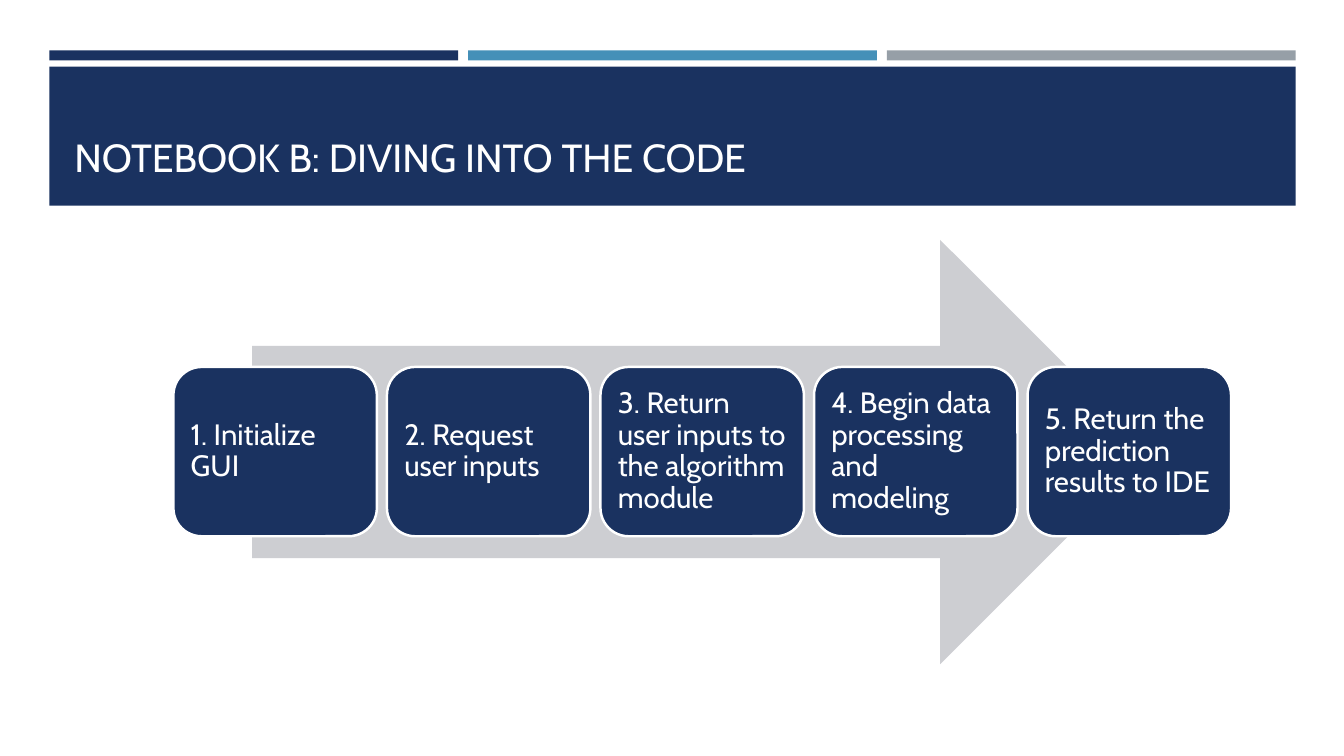
from dataclasses import dataclass

from pptx import Presentation
from pptx.dml.color import RGBColor
from pptx.enum.shapes import MSO_SHAPE
from pptx.enum.text import MSO_ANCHOR, PP_ALIGN
from pptx.shapes.autoshape import Shape
from pptx.slide import Slide
from pptx.util import Inches, Pt


@dataclass(frozen=True)
class Theme:
    navy: str = "1A3260"
    blue: str = "4590B8"
    gray: str = "969FA7"
    arrow: str = "CDCED2"
    white: str = "FFFFFF"
    font: str = "Cabin"
    title_size: float = 28
    step_size: float = 21
    outline: float = 1.75


@dataclass(frozen=True)
class Box:
    left: float
    top: float
    width: float
    height: float


@dataclass(frozen=True)
class GridRow:
    """A band of the slide split into equal columns with equal gaps."""
    band: Box
    columns: int
    gap: float

    def cell(self, column: int) -> Box:
        width = (self.band.width - self.gap * (self.columns - 1)) / self.columns
        left = self.band.left + column * (width + self.gap)
        return Box(left, self.band.top, width, self.band.height)


THEME = Theme()
ACCENT_ROW = GridRow(Box(0.49, 0.5, 12.36, 0.1), columns=3, gap=0.1)
STEP_ROW = GridRow(Box(1.72, 3.64, 10.49, 1.68), columns=5, gap=0.1)
BANNER = Box(0.49, 0.66, 12.36, 1.38)
TITLE = Box(0.64, 0.8, 12.06, 1.08)
FLOW_ARROW = Box(2.5, 2.38, 8.93, 4.21)

ACCENTS = (THEME.navy, THEME.blue, THEME.gray)
STEPS = (
    "1. Initialize GUI",
    "2. Request user inputs",
    "3. Return user inputs to the algorithm module",
    "4. Begin data processing and modeling",
    "5. Return the prediction results to IDE",
)


def emu(box: Box) -> tuple[int, int, int, int]:
    return (Inches(box.left), Inches(box.top),
            Inches(box.width), Inches(box.height))


def add_filled(slide: Slide, kind: MSO_SHAPE, box: Box, color: str) -> Shape:
    shape = slide.shapes.add_shape(kind, *emu(box))
    shape.shadow.inherit = False
    shape.fill.solid()
    shape.fill.fore_color.rgb = RGBColor.from_string(color)
    shape.line.fill.background()
    return shape


def write(shape: Shape, text: str, size: float, anchor: MSO_ANCHOR,
          inset: float, line_spacing: float = 1.0) -> None:
    frame = shape.text_frame
    frame.word_wrap = True
    frame.vertical_anchor = anchor
    frame.margin_left = frame.margin_right = Inches(inset)
    frame.margin_top = frame.margin_bottom = Inches(min(inset, 0.09))
    paragraph = frame.paragraphs[0]
    paragraph.alignment = PP_ALIGN.LEFT
    paragraph.line_spacing = line_spacing
    run = paragraph.add_run()
    run.text = text
    run.font.name = THEME.font
    run.font.size = Pt(size)
    run.font.color.rgb = RGBColor.from_string(THEME.white)


def add_header(slide: Slide) -> None:
    for column, color in enumerate(ACCENTS):
        add_filled(slide, MSO_SHAPE.RECTANGLE, ACCENT_ROW.cell(column), color)
    add_filled(slide, MSO_SHAPE.RECTANGLE, BANNER, THEME.navy)
    title = slide.shapes.add_textbox(*emu(TITLE))
    write(title, "NOTEBOOK B: DIVING INTO THE CODE", THEME.title_size,
          MSO_ANCHOR.BOTTOM, inset=0.1)


def add_process(slide: Slide) -> None:
    add_filled(slide, MSO_SHAPE.RIGHT_ARROW, FLOW_ARROW, THEME.arrow)
    for column, step in enumerate(STEPS):
        card = add_filled(slide, MSO_SHAPE.ROUNDED_RECTANGLE,
                          STEP_ROW.cell(column), THEME.navy)
        card.line.color.rgb = RGBColor.from_string(THEME.white)
        card.line.width = Pt(THEME.outline)
        write(card, step, THEME.step_size, MSO_ANCHOR.MIDDLE,
              inset=0.09, line_spacing=0.9)


def main() -> None:
    deck = Presentation()
    deck.slide_width, deck.slide_height = Inches(13.33), Inches(7.5)
    slide = deck.slides.add_slide(deck.slide_layouts[6])
    add_header(slide)
    add_process(slide)
    deck.save("out.pptx")


if __name__ == "__main__":
    main()
